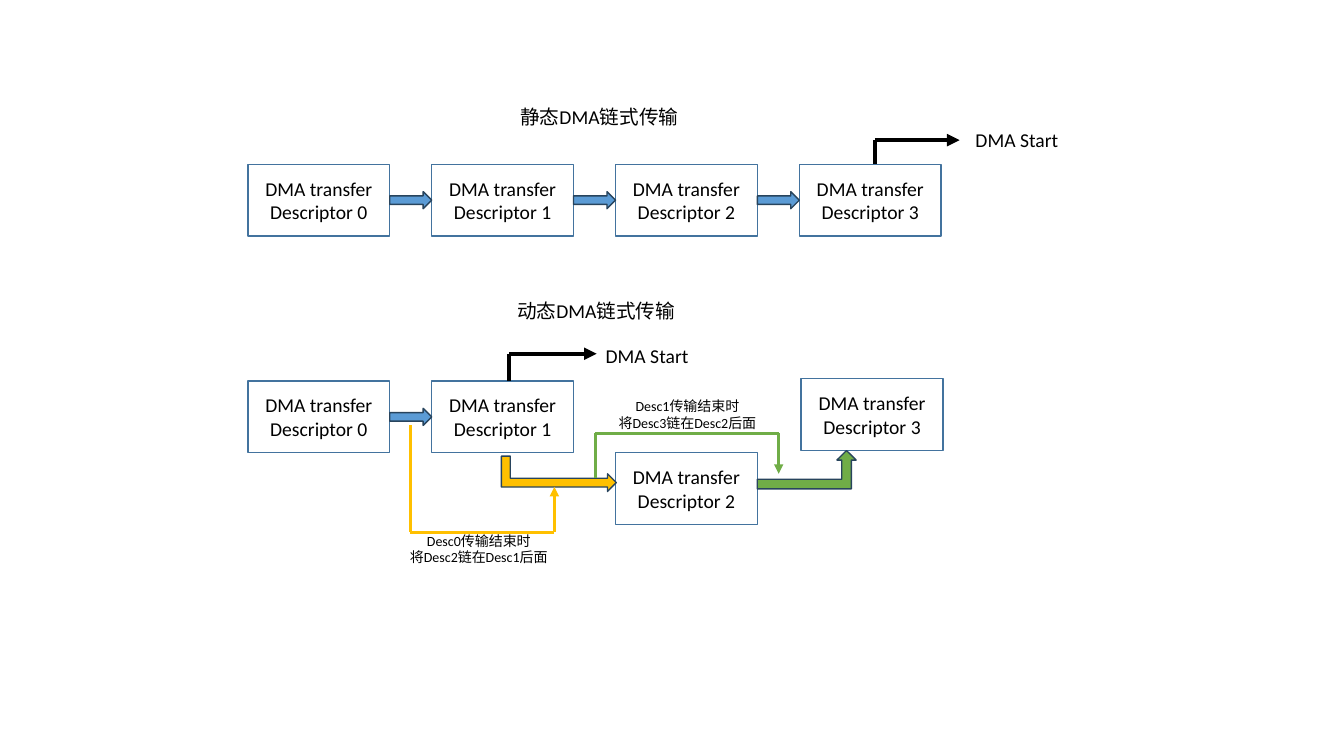
"""Draws static and dynamic DMA descriptor chains on one slide."""
from itertools import pairwise

from lxml.etree import SubElement
from pptx import Presentation
from pptx.dml.color import RGBColor
from pptx.enum.shapes import MSO_CONNECTOR, MSO_SHAPE
from pptx.enum.text import MSO_ANCHOR, PP_ALIGN
from pptx.oxml.ns import qn
from pptx.util import Pt

COLORS = {"text": "000000", "box": "43739E", "edge": "28445D", "blue": "5B9BD5",
          "yellow": "FFC000", "green": "70AD47"}
FONT = "Calibri"
LEFT, PITCH, BOX_W, BOX_H = 177.1, 131.3, 101.3, 51.2
ARROW_H = 12.2
STATIC_Y, DYNAMIC_Y = 117.4, 272.2

# column, top
BOXES = [(i, STATIC_Y) for i in range(4)] + [
    (0, DYNAMIC_Y), (1, DYNAMIC_Y), (2, 323.3), (3.01, 270.5)]
# column on the left, top of the row
LINKS = [(0, STATIC_Y), (1, STATIC_Y), (2, STATIC_Y), (0, DYNAMIC_Y)]
# left, top, width, height, rotation, colour
BENDS = [(386.6, 297.4, 25.2, 82.1, 90, "yellow"),
         (540.9, 321.8, 70.6, 27.4, 0, "green")]
# colour, width, points; the last segment carries the arrowhead
ROUTES = [
    ("text", 3, [(625, STATIC_Y), (625, 100.1), (685.4, 100.1)]),
    ("text", 3, [(363.6, DYNAMIC_Y), (363.6, 252.7), (426.2, 252.7)]),
    ("yellow", 2.25, [(293, 303.8), (293, 380.2), (396, 380.2), (396, 347.8)]),
    ("green", 2.25, [(425.3, 341.3), (425.3, 309.6), (556.2, 309.6), (556.2, 338.4)]),
]
# left, top, width, size, lines
LABELS = [
    (363.6, 65.5, 128.9, 14, ["静态DMA链式传输"]),
    (361.4, 204.5, 128.9, 14, ["动态DMA链式传输"]),
    (685.4, 82.1, 82.1, 14, ["DMA Start"]),
    (421.2, 236.2, 82.1, 14, ["DMA Start"]),
    (251.3, 374.4, 181.4, 10, ["Desc0传输结束时", "将Desc2链在Desc1后面"]),
    (400.3, 278.6, 181.4, 10, ["Desc1传输结束时", "将Desc3链在Desc2后面"]),
]
LABEL_H = 35.3


def rgb(name):
    """Return a palette colour."""
    return RGBColor.from_string(COLORS[name])


def write(sp, lines, size):
    """Fill a shape with centred lines."""
    tf = sp.text_frame
    tf.word_wrap = True
    tf.vertical_anchor = MSO_ANCHOR.MIDDLE
    tf.text = "\n".join(lines)
    for p in tf.paragraphs:
        p.alignment = PP_ALIGN.CENTER
        p.font.size = Pt(size)
        p.font.name = FONT
        p.font.color.rgb = rgb("text")


def add_shape(s, kind, frame, line, fill=None):
    """Add an outlined shape, filled if a colour is given."""
    sp = s.shapes.add_shape(kind, *map(Pt, frame))
    sp.shadow.inherit = False
    sp.line.color.rgb = rgb(line)
    sp.line.width = Pt(1)
    if fill:
        sp.fill.solid()
        sp.fill.fore_color.rgb = rgb(fill)
    else:
        sp.fill.background()
    return sp


def add_route(s, color, width, points):
    """Add connected straight segments ending in an arrowhead."""
    for start, end in pairwise(points):
        cn = s.shapes.add_connector(MSO_CONNECTOR.STRAIGHT, *map(Pt, start + end))
        cn.line.color.rgb = rgb(color)
        cn.line.width = Pt(width)
        SubElement(cn._element.spPr, qn("a:effectLst"))
    SubElement(cn.line._get_or_add_ln(), qn("a:tailEnd"), type="triangle")


def main():
    """Build and save the slide."""
    prs = Presentation()
    prs.slide_width, prs.slide_height = Pt(960), Pt(540)
    s = prs.slides.add_slide(prs.slide_layouts[6])
    for col, top in BOXES:
        frame = (LEFT + col * PITCH, top, BOX_W, BOX_H)
        sp = add_shape(s, MSO_SHAPE.RECTANGLE, frame, "box")
        write(sp, ["DMA transfer", f"Descriptor {int(col)}"], 14)
    for col, top in LINKS:
        frame = (LEFT + col * PITCH + BOX_W, top + (BOX_H - ARROW_H) / 2,
                 PITCH - BOX_W, ARROW_H)
        add_shape(s, MSO_SHAPE.RIGHT_ARROW, frame, "edge", "blue")
    for *frame, rotation, color in BENDS:
        sp = add_shape(s, MSO_SHAPE.BENT_UP_ARROW, frame, "edge", color)
        sp.rotation = rotation
    for route in ROUTES:
        add_route(s, *route)
    for left, top, width, size, lines in LABELS:
        sp = s.shapes.add_textbox(Pt(left), Pt(top), Pt(width), Pt(LABEL_H))
        write(sp, lines, size)
    prs.save("out.pptx")


if __name__ == "__main__":
    main()
